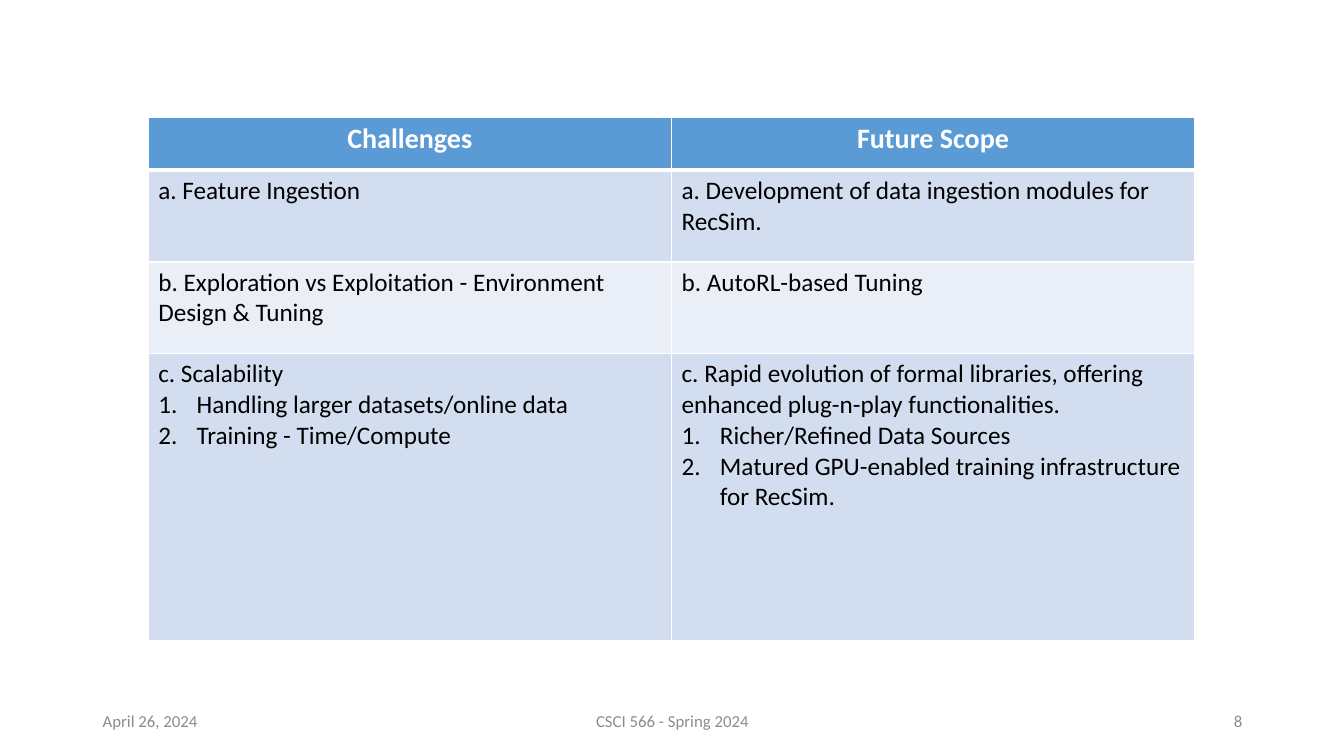
import pptx
import pptx.util
import pptx.dml.color
import pptx.enum.text
import pptx.oxml
import pptx.oxml.ns

Inches, Pt = pptx.util.Inches, pptx.util.Pt
ALIGN = pptx.enum.text.PP_ALIGN
ANCHOR = pptx.enum.text.MSO_ANCHOR

# Content: each body cell is a lead line and its numbered items
HEADERS = ["Challenges", "Future Scope"]
ROWS = [
    [("a. Feature Ingestion", []),
     ("a. Development of data ingestion modules for RecSim.", [])],
    [("b. Exploration vs Exploitation - Environment Design & Tuning", []),
     ("b. AutoRL-based Tuning", [])],
    [("c. Scalability",
      ["Handling larger datasets/online data", "Training - Time/Compute"]),
     ("c. Rapid evolution of formal libraries, offering enhanced plug-n-play functionalities.",
      ["Richer/Refined Data Sources",
       "Matured GPU-enabled training infrastructure for RecSim."])],
]
# Footer: text, left, width, alignment
FOOTER = [
    ("April 26, 2024", 0.92, 3, ALIGN.LEFT),
    ("CSCI 566 - Spring 2024", 4.42, 4.5, ALIGN.CENTER),
    ("8", 9.42, 3, ALIGN.RIGHT),
]
COLORS = {"header": "5B9BD5", "odd": "D2DEEF", "even": "EAEFF7",
          "white": "FFFFFF", "text": "000000", "footer": "8C8C8C"}
FONT = "Calibri"
TABLE_LEFT, TABLE_TOP, COL_WIDTH = 1.47, 1.16, 5.19
ROW_HEIGHTS = [0.53, 0.91, 0.91, 2.85]
FOOTER_TOP, FOOTER_HEIGHT = 6.95, 0.4
NUMBER_INDENT = 0.38


def rgb(name):
    return pptx.dml.color.RGBColor.from_string(COLORS[name])


def write(tf, text, size=18, color="text", bold=False, align=ALIGN.LEFT,
          numbered=False, new=False):
    p = tf.add_paragraph() if new else tf.paragraphs[0]
    p.alignment = align
    r = p.add_run()
    r.text = text
    r.font.name, r.font.size, r.font.bold = FONT, Pt(size), bold
    r.font.color.rgb = rgb(color)
    if numbered:
        pPr = p._p.get_or_add_pPr()
        pPr.set("marL", str(Inches(NUMBER_INDENT)))
        pPr.set("indent", str(-Inches(NUMBER_INDENT)))
        ns = pptx.oxml.ns.nsdecls("a")
        pPr.append(pptx.oxml.parse_xml(f'<a:buFont {ns} typeface="+mj-lt"/>'))
        pPr.append(pptx.oxml.parse_xml(f'<a:buAutoNum {ns} type="arabicPeriod"/>'))


def style_cell(cell, fill, top=1, bottom=1):
    tcPr = cell._tc.get_or_add_tcPr()
    for side, width in (("L", 1), ("R", 1), ("T", top), ("B", bottom)):
        tcPr.append(pptx.oxml.parse_xml(
            f'<a:ln{side} {pptx.oxml.ns.nsdecls("a")} w="{Pt(width)}"><a:solidFill>'
            f'<a:srgbClr val="{COLORS["white"]}"/></a:solidFill></a:ln{side}>'))
    cell.fill.solid()
    cell.fill.fore_color.rgb = rgb(fill)


prs = pptx.Presentation()
prs.slide_width, prs.slide_height = Inches(13.33), Inches(7.5)
s = prs.slides.add_slide(prs.slide_layouts[6])

# Footer
for text, left, width, align in FOOTER:
    sp = s.shapes.add_textbox(Inches(left), Inches(FOOTER_TOP),
                              Inches(width), Inches(FOOTER_HEIGHT))
    tf = sp.text_frame
    tf.word_wrap = True
    tf.vertical_anchor = ANCHOR.MIDDLE
    write(tf, text, size=12, color="footer", align=align)

# Table grid
table = s.shapes.add_table(
    len(ROW_HEIGHTS), len(HEADERS), Inches(TABLE_LEFT), Inches(TABLE_TOP),
    Inches(COL_WIDTH * len(HEADERS)), Inches(sum(ROW_HEIGHTS))).table
for col in table.columns:
    col.width = Inches(COL_WIDTH)
for row, height in zip(table.rows, ROW_HEIGHTS):
    row.height = Inches(height)

# Header row
for c, title in enumerate(HEADERS):
    cell = table.cell(0, c)
    style_cell(cell, "header", bottom=3)
    write(cell.text_frame, title, size=20, color="white", bold=True,
          align=ALIGN.CENTER)

# Body rows
for i, row in enumerate(ROWS, start=1):
    for c, (lead, items) in enumerate(row):
        cell = table.cell(i, c)
        style_cell(cell, "odd" if i % 2 else "even", top=3 if i == 1 else 1)
        write(cell.text_frame, lead)
        for item in items:
            write(cell.text_frame, item, numbered=True, new=True)

prs.save("out.pptx")
